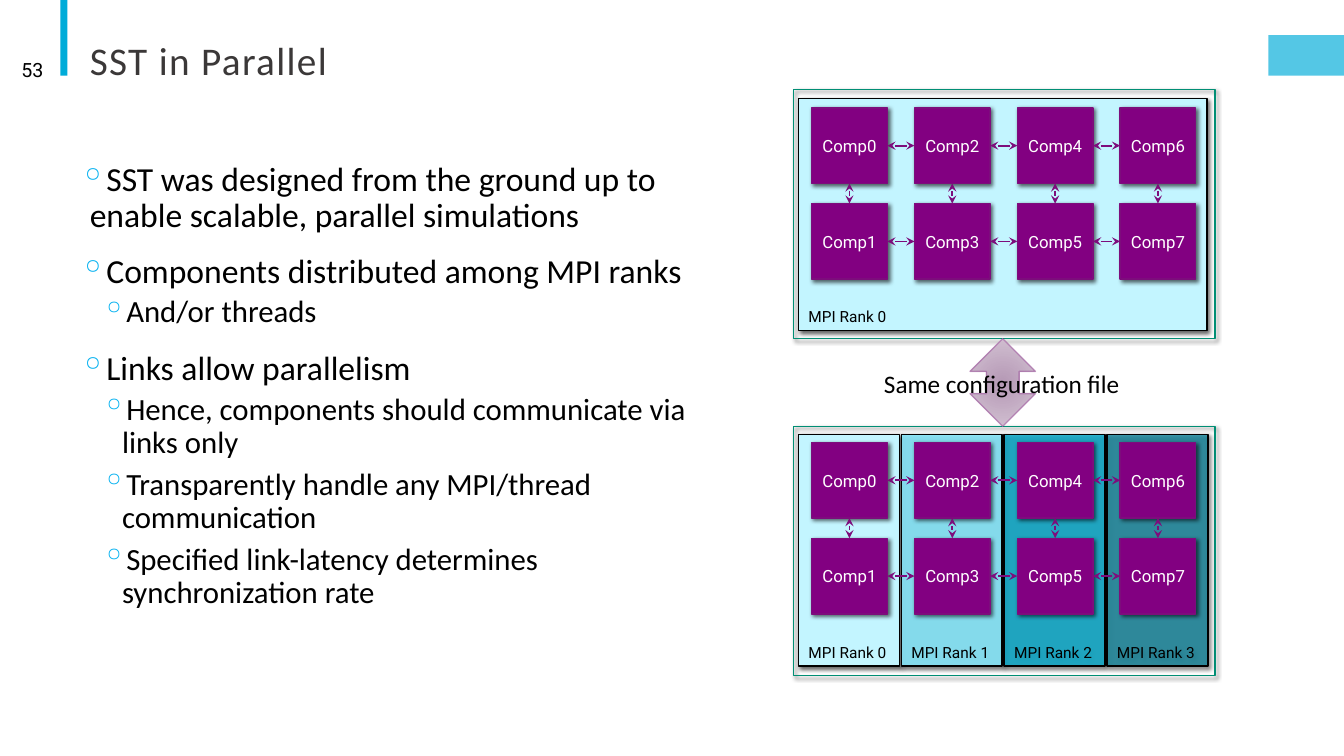
from lxml import etree
from pptx import Presentation
from pptx.dml.color import RGBColor
from pptx.enum.shapes import MSO_CONNECTOR, MSO_SHAPE
from pptx.enum.text import MSO_ANCHOR as ANCHOR, MSO_AUTO_SIZE as AUTO, PP_ALIGN as ALIGN
from pptx.oxml import parse_xml
from pptx.oxml.ns import nsdecls, qn
from pptx.util import Inches, Pt

PURPLE, LINK, BLACK = "820081", "7D0D7C", "000000"
TOP, LEFT, BOTTOM, RIGHT = range(4)


def rgb(hex_color):
    return RGBColor.from_string(hex_color)


def sub(parent, tag, **attributes):
    return etree.SubElement(parent, qn(tag), attributes)


class SlideBuilder:
    heading_font, label_font = "Calibri", "Roboto"

    def __init__(self, prs):
        self.slide = prs.slides.add_slide(prs.slide_layouts[5])
        self.shapes = self.slide.shapes

    def style(self, paragraph, size, color=BLACK, font=None, align=None):
        paragraph.font.size = Pt(size)
        paragraph.font.name = font or self.heading_font
        paragraph.font.color.rgb = rgb(color)
        paragraph.alignment = align

    def title(self, text, box):
        title = self.shapes.title
        title.left, title.top, title.width, title.height = map(Inches, box)
        frame = title.text_frame
        frame.text = text
        frame.auto_size = AUTO.NONE
        frame.vertical_anchor = ANCHOR.BOTTOM
        paragraph = frame.paragraphs[0]
        paragraph.line_spacing = 0.85
        self.style(paragraph, 28, "3B3838", align=ALIGN.LEFT)
        paragraph.runs[0].font._element.set("spc", "100")

    def text(self, text, box, size, font=None, align=ALIGN.CENTER, wrap=True):
        frame = self.shapes.add_textbox(*map(Inches, box)).text_frame
        frame.word_wrap = wrap
        frame.vertical_anchor = ANCHOR.MIDDLE
        frame.text = text
        self.style(frame.paragraphs[0], size, font=font, align=align)

    def bullets(self, items, box):
        frame = self.shapes.add_textbox(*map(Inches, box)).text_frame
        frame.word_wrap = True
        frame.margin_left = frame.margin_right = 0
        for index, (level, text) in enumerate(items):
            paragraph = frame.add_paragraph() if index else frame.paragraphs[0]
            paragraph.text = text
            paragraph.level = level
            paragraph.line_spacing = 0.9
            size, before, after, indent = ((24, 12, 2, 0.1), (22, 2, 4, 0.42))[level]
            paragraph.space_before = Pt(before if index else 0)
            paragraph.space_after = Pt(after)
            props = paragraph._p.get_or_add_pPr()
            props.set("marL", str(Inches(indent)))
            props.set("indent", str(Inches(-0.2)))
            sub(sub(props, "a:buClr"), "a:srgbClr", val="00B0F0")
            sub(props, "a:buChar", char="◦")
            self.style(paragraph, size)

    def box(self, box, fill=None, line=None, alpha=100, shadow=True,
            kind=MSO_SHAPE.RECTANGLE):
        shape = self.shapes.add_shape(kind, *map(Inches, box))
        shape.shadow.inherit = False
        if fill:
            shape.fill.solid()
            shape.fill.fore_color.rgb = rgb(fill)
            if alpha < 100:
                self.set_alpha(shape.fill, alpha)
        else:
            shape.fill.background()
        if line:
            shape.line.color.rgb = rgb(line)
            shape.line.width = Pt(1)
        else:
            shape.line.fill.background()
        if shadow:
            effects = shape._element.spPr.find(qn("a:effectLst"))
            outer = sub(effects, "a:outerShdw", blurRad=str(Pt(3)), dist=str(Pt(2)),
                        dir="2700000", algn="tl", rotWithShape="0")
            sub(sub(outer, "a:srgbClr", val=BLACK), "a:alpha", val="60000")
        return shape

    def set_alpha(self, fill, percent):
        color = fill._xPr.find(qn("a:solidFill"))[0]
        sub(color, "a:alpha", val=str(percent * 1000))

    def label(self, shape, text, size, color, align, anchor, margin):
        frame = shape.text_frame
        frame.text = text
        frame.margin_left = frame.margin_right = Inches(margin)
        frame.vertical_anchor = anchor
        self.style(frame.paragraphs[0], size, color, self.label_font, align)

    def rank(self, number, box, fill, alpha=100):
        shape = self.box(box, fill, BLACK, alpha)
        self.label(shape, f"MPI Rank {number}", 11, BLACK, ALIGN.LEFT, ANCHOR.BOTTOM, 0.1)

    def component(self, number, left, top):
        shape = self.box((left, top, 0.75, 0.75), PURPLE, LINK)
        self.label(shape, f"Comp{number}", 12, "FFFFFF", ALIGN.CENTER, ANCHOR.MIDDLE, 0.05)
        return shape

    def link(self, start, start_side, end, end_side):
        link = self.shapes.add_connector(MSO_CONNECTOR.STRAIGHT, 0, 0, 0, 0)
        link.begin_connect(start, start_side)
        link.end_connect(end, end_side)
        link.line.color.rgb = rgb(LINK)
        link.line.width = Pt(1.25)
        outline = link.line._get_or_add_ln()
        for tag in ("a:headEnd", "a:tailEnd"):
            sub(outline, tag, type="stealth")
        sub(link._element.spPr, "a:effectLst")

    def component_grid(self, top):
        # Components are numbered down each column of two
        grid = [self.component(n, 8.05 + n // 2 * 1.02, top + n % 2 * 0.95)
                for n in range(8)]
        for n, component in enumerate(grid):
            if n % 2 == 0:
                self.link(component, BOTTOM, grid[n + 1], TOP)
            if n + 2 < len(grid):
                self.link(component, RIGHT, grid[n + 2], LEFT)

    def double_arrow(self, box):
        arrow = self.box(box, PURPLE, LINK, shadow=False, kind=MSO_SHAPE.UP_DOWN_ARROW)
        self.set_alpha(arrow.line.fill, 30)
        solid = arrow._element.spPr.find(qn("a:solidFill"))
        gradient = parse_xml(
            f'<a:gradFill {nsdecls("a")}><a:gsLst>'
            '<a:gs pos="0"><a:srgbClr val="B599B5"/></a:gs>'
            '<a:gs pos="100000"><a:srgbClr val="D6C6D6"/></a:gs></a:gsLst>'
            '<a:path path="circle"><a:fillToRect l="50000" t="50000" r="50000" b="50000"/>'
            '</a:path></a:gradFill>')
        solid.getparent().replace(solid, gradient)


def main():
    prs = Presentation()
    prs.slide_width, prs.slide_height = Inches(13.33), Inches(7.5)
    page = SlideBuilder(prs)

    # Header
    page.box((0.6, 0, 0.07, 0.75), "00ACD9", shadow=False)
    page.box((12.58, 0.35, 0.75, 0.4), "00ACD9", alpha=67, shadow=False)
    page.title("SST in Parallel", (0.79, 0.26, 11, 0.62))
    page.text("53", (0.07, 0.49, 0.46, 0.4), 14, page.label_font, ALIGN.RIGHT)

    # Key points
    page.bullets([
        (0, "SST was designed from the ground up to enable scalable, parallel simulations"),
        (0, "Components distributed among MPI ranks"),
        (1, "And/or threads"),
        (0, "Links allow parallelism"),
        (1, "Hence, components should communicate via links only"),
        (1, "Transparently handle any MPI/thread communication"),
        (1, "Specified link-latency determines synchronization rate"),
    ], (0.79, 1.56, 6.51, 5.1))

    # Frames around both configurations
    for frame_top in (0.89, 4.23):
        page.box((7.87, frame_top, 4.18, 2.47), line="008E74")

    # Everything on a single rank
    page.rank(0, (7.92, 0.98, 4.05, 2.3), "C3F5FF")
    page.component_grid(1.07)

    # One rank for each column
    rank_fills = [("C3F5FF", 100), ("86EBFF", 85), ("00ADD0", 77), ("00829C", 69)]
    for number, (fill, alpha) in enumerate(rank_fills):
        page.rank(number, (7.92 + number * 1.02, 4.31, 1, 2.3), fill, alpha)
    page.component_grid(4.39)

    # Shared configuration
    page.double_arrow((9.62, 3.36, 0.65, 0.87))
    page.text("Same configuration file", (8.65, 3.6, 2.57, 0.4), 18, wrap=False)

    prs.save("out.pptx")


if __name__ == "__main__":
    main()
